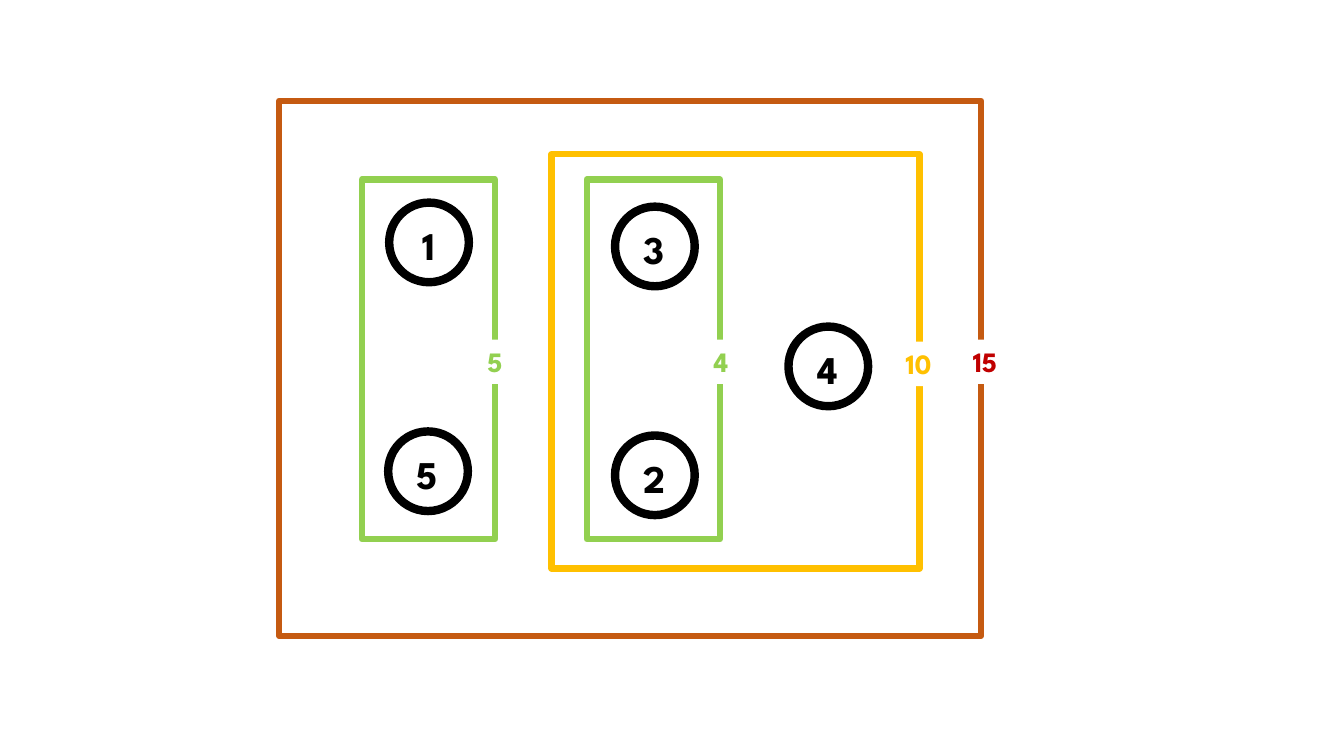
from dataclasses import dataclass

from pptx import Presentation
from pptx import util as u
from pptx.dml.color import RGBColor
from pptx.enum import shapes, text


@dataclass(frozen=True)
class Theme:
    font: str = "League Spartan"
    black: str = "000000"
    white: str = "FFFFFF"
    green: str = "92D050"
    gold: str = "FFC000"
    rust: str = "C55A11"
    red: str = "C00000"
    node_size: int = 28
    cost_size: int = 20
    ring: float = 6
    edge: float = 4.5


@dataclass(frozen=True)
class Node:
    label: str
    left: float
    top: float


@dataclass(frozen=True)
class Frame:
    box: tuple[float, float, float, float]
    color: str


@dataclass(frozen=True)
class Cost:
    label: str
    box: tuple[float, float, float, float]
    color: str
    align: text.PP_ALIGN = text.PP_ALIGN.CENTER


THEME = Theme()
RING, INSET = 0.79, 0.14

NODES = [
    Node("3", 6.1, 2.05),
    Node("1", 3.86, 2.01),
    Node("5", 3.85, 4.28),
    Node("2", 6.1, 4.32),
    Node("4", 7.82, 3.24),
]
FRAMES = [
    Frame((3.59, 1.78, 1.32, 3.57), THEME.green),
    Frame((2.77, 1, 6.96, 5.31), THEME.rust),
    Frame((5.82, 1.78, 1.32, 3.57), THEME.green),
    Frame((5.47, 1.53, 3.65, 4.11), THEME.gold),
]
COSTS = [
    Cost("5", (4.65, 3.37, 0.52, 0.44), THEME.green),
    Cost("15", (9.55, 3.37, 0.79, 0.44), THEME.red, text.PP_ALIGN.LEFT),
    Cost("4", (6.89, 3.37, 0.52, 0.44), THEME.green),
    Cost("10", (8.85, 3.39, 0.52, 0.44), THEME.gold),
]


def outline(tree, kind, box, color: str, width: float) -> None:
    """Add an unfilled shape with a coloured line."""
    shape = tree.add_shape(kind, *map(u.Inches, box))
    shape.shadow.inherit = False
    shape.fill.background()
    shape.line.color.rgb = RGBColor.from_string(color)
    shape.line.width = u.Pt(width)


def write(tree, label: str, box, color: str, size: int,
          align=text.PP_ALIGN.CENTER):
    """Add a text box with one bold number."""
    area = tree.add_textbox(*map(u.Inches, box))
    frame = area.text_frame
    frame.word_wrap = True
    frame.auto_size = text.MSO_AUTO_SIZE.SHAPE_TO_FIT_TEXT
    para = frame.paragraphs[0]
    para.alignment = align
    run = para.add_run()
    run.text = label
    style = {"name": THEME.font, "size": u.Pt(size), "bold": True}
    for key, value in style.items():
        setattr(run.font, key, value)
    run.font.color.rgb = RGBColor.from_string(color)
    return area


def draw_node(tree, node: Node) -> None:
    group = tree.add_group_shape().shapes
    outline(group, shapes.MSO_SHAPE.OVAL, (node.left, node.top, RING, RING),
            THEME.black, THEME.ring)
    write(group, node.label, (node.left + INSET, node.top + INSET, 0.5, 0.57),
          THEME.black, THEME.node_size)


def draw_cost(tree, cost: Cost) -> None:
    area = write(tree, cost.label, cost.box, cost.color, THEME.cost_size,
                 cost.align)
    area.fill.solid()
    area.fill.fore_color.rgb = RGBColor.from_string(THEME.white)


def main() -> None:
    deck = Presentation()
    deck.slide_width, deck.slide_height = u.Inches(13.33), u.Inches(7.5)
    tree = deck.slides.add_slide(deck.slide_layouts[6]).shapes

    # Numbered circles
    for node in NODES:
        draw_node(tree, node)

    # Nested frames
    for frame in FRAMES:
        outline(tree, shapes.MSO_SHAPE.RECTANGLE, frame.box, frame.color,
                THEME.edge)

    # Costs that break the right edge of each frame
    for cost in COSTS:
        draw_cost(tree, cost)

    deck.save("out.pptx")


if __name__ == "__main__":
    main()
